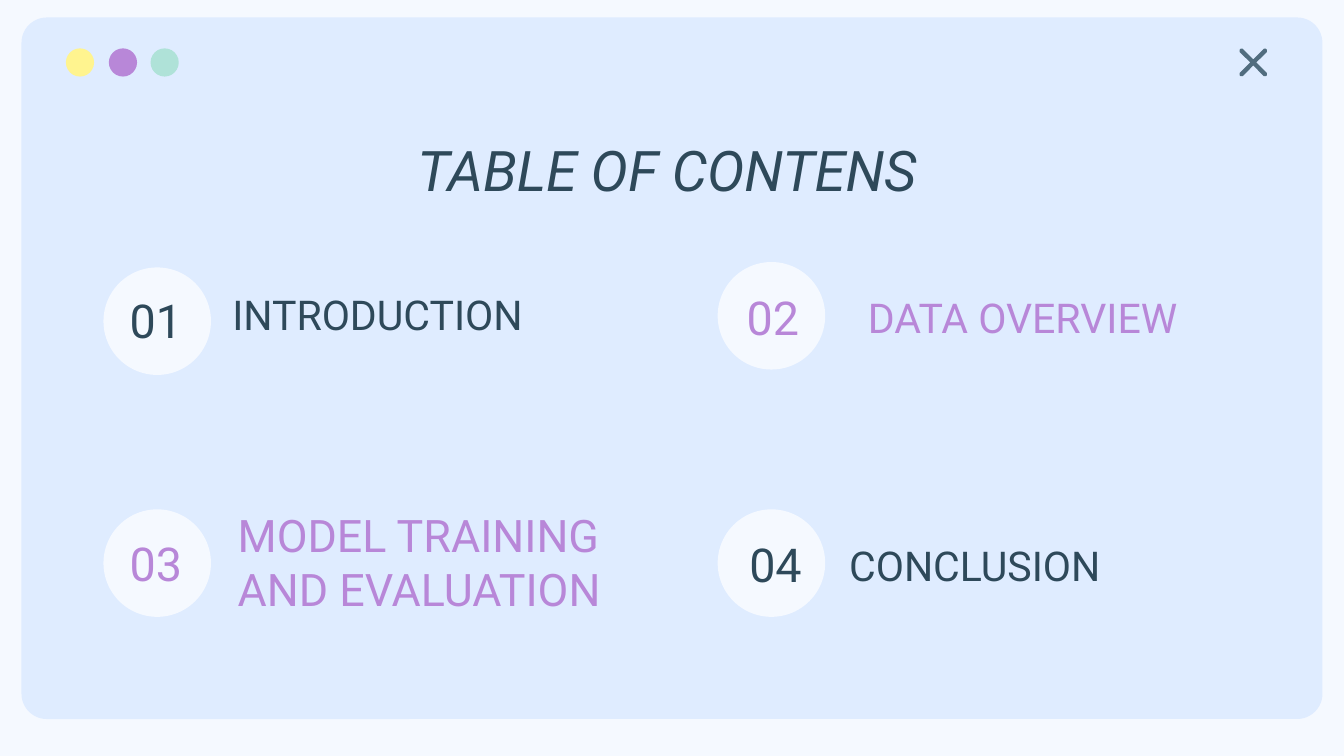
from pptx import Presentation
from pptx.dml.color import RGBColor
from pptx.enum.shapes import MSO_SHAPE
from pptx.enum.text import MSO_ANCHOR, PP_ALIGN
from pptx.util import Inches, Pt

ROUNDED, OVAL, CROSS = MSO_SHAPE.ROUNDED_RECTANGLE, MSO_SHAPE.OVAL, MSO_SHAPE.MATH_MULTIPLY
TOP, MIDDLE, BOTTOM = MSO_ANCHOR.TOP, MSO_ANCHOR.MIDDLE, MSO_ANCHOR.BOTTOM
LEFT, CENTER = PP_ALIGN.LEFT, PP_ALIGN.CENTER

COLORS = {
    "background": "F5F9FF",
    "window": "DFECFF",
    "yellow": "FFF48F",
    "purple": "B887D8",
    "mint": "AFE2D8",
    "cross": "516D7F",
    "dark": "2E495A",
}


def add_shape(kind, x, y, w, h, color):
    sp = s.shapes.add_shape(kind, Inches(x), Inches(y), Inches(w), Inches(h))
    sp.shadow.inherit = False
    sp.fill.solid()
    sp.fill.fore_color.rgb = RGBColor.from_string(COLORS[color])
    sp.line.fill.background()
    return sp


def add_text(lines, x, y, w, h, size, color, align, anchor, hanging=False, inset=0.1):
    tf = s.shapes.add_textbox(Inches(x), Inches(y), Inches(w), Inches(h)).text_frame
    tf.word_wrap = True
    tf.vertical_anchor = anchor
    tf.margin_left = Inches(inset)
    tf.margin_right = tf.margin_top = tf.margin_bottom = Inches(0.1)
    for i, line in enumerate(lines):
        p = tf.paragraphs[0] if i == 0 else tf.add_paragraph()
        p.text = line
        p.alignment = align
        if hanging:
            pPr = p._p.get_or_add_pPr()
            pPr.set("marL", str(Inches(0.5)))
            pPr.set("indent", str(Inches(-0.35)))
        p.font.name = "Roboto"
        p.font.size = Pt(size)
        p.font.color.rgb = RGBColor.from_string(COLORS[color])
    return tf


prs = Presentation()
prs.slide_width = Inches(10)
prs.slide_height = Inches(10 * 9 / 16)
s = prs.slides.add_slide(prs.slide_layouts[6])
s.background.fill.solid()
s.background.fill.fore_color.rgb = RGBColor.from_string(COLORS["background"])

window = add_shape(ROUNDED, 0.16, 0.13, 9.68, 5.22, "window")
window.adjustments[0] = 0.036
for x, color in [(0.49, "yellow"), (0.81, "purple"), (1.12, "mint")]:
    add_shape(OVAL, x, 0.36, 0.21, 0.21, color)
cross = add_shape(CROSS, 9.15, 0.29, 0.35, 0.35, "cross")
cross.adjustments[0] = 0.031
cross.line.color.rgb = RGBColor.from_string(COLORS["cross"])
cross.line.width = Pt(1.5)

title = add_text(["TABLE OF CONTENS"], 0.75, 0.91, 8.43, 0.63, 30, "dark", CENTER, TOP)
title.paragraphs[0].font.italic = True

sections = [
    ("01", "dark", (0.77, 1.99), (0.73, 2.1, 0.86, 0.56), 0.1,
     ["INTRODUCTION"], (1.63, 2.1, 2.75, 0.52), 22, False),
    ("02", "purple", (5.34, 1.95), (5.34, 2.08, 0.86, 0.56), 0.06,
     ["DATA OVERVIEW"], (6.21, 2.08, 2.96, 0.56), 22, True),
    ("03", "purple", (0.77, 3.79), (0.73, 3.91, 0.86, 0.56), 0.1,
     ["MODEL TRAINING", "AND EVALUATION"], (1.52, 3.85, 3.44, 0.83), 24, True),
    ("04", "dark", (5.34, 3.79), (5.34, 3.93, 0.86, 0.53), 0.1,
     ["CONCLUSION"], (6.22, 4.04, 2.7, 0.45), 22, False),
]
for number, color, circle, number_box, inset, lines, label_box, size, hanging in sections:
    add_shape(OVAL, *circle, 0.8, 0.8, "background")
    add_text([number], *number_box, 25, color, CENTER, MIDDLE, inset=inset)
    add_text(lines, *label_box, size, color, LEFT, BOTTOM, hanging)

prs.save("out.pptx")
